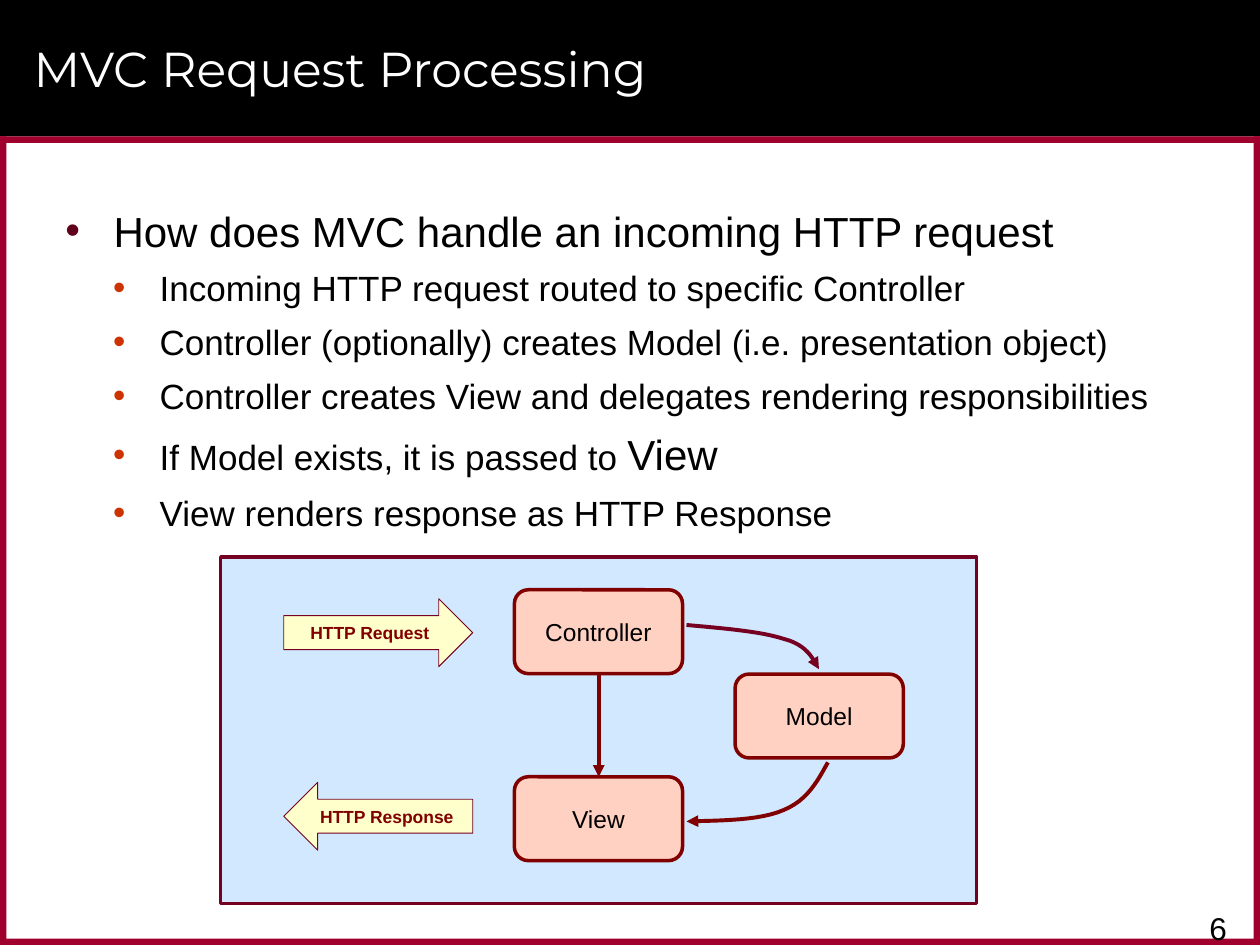
from pptx import Presentation
from pptx import util as u
from pptx.dml import color
from pptx.enum import shapes, text
from pptx.oxml import ns, xmlchemy

CRIMSON, PLUM, MAROON = "9F002D", "760021", "800000"
KIND = shapes.MSO_SHAPE


def rgb(value):
    return color.RGBColor.from_string(value)


def put(obj, values):
    for name, value in values.items():
        setattr(obj, name, value)


def sub(parent, tag, **attrs):
    el = xmlchemy.OxmlElement(tag)
    for name, value in attrs.items():
        el.set(name, value)
    parent.append(el)
    return el


def bezier(p0, p1, p2, p3, steps=12):
    for i in range(1, steps + 1):
        t = i / steps
        k = ((1 - t) ** 3, 3 * t * (1 - t) ** 2, 3 * t * t * (1 - t), t ** 3)
        yield tuple(sum(w * p[axis] for w, p in zip(k, (p0, p1, p2, p3))) for axis in (0, 1))


class Deck:
    """Holds the slide style and draws each kind of element on the current slide."""

    base = dict(name="Arial", size=u.Pt(14), bold=False)
    levels = (
        dict(size=24, margin=0.97, hang=0.97, before=0, after=2, bullet="60001B"),
        dict(size=20, margin=1.9, hang=0.94, before=4, after=3, bullet="CC3300"),
    )

    def __init__(self, prs):
        self.s = prs.slides.add_slide(prs.slide_layouts[6])

    def run(self, p, words, ink="000000", **font):
        r = p.add_run()
        r.text = words
        put(r.font, {**self.base, **font})
        r.font.color.rgb = rgb(ink)

    def stroke(self, line, ink, width):
        line.color.rgb = rgb(ink)
        line.width = u.Pt(width)

    def shape(self, kind, box, fill, ink=None, width=1):
        sp = self.s.shapes.add_shape(kind, *map(u.Cm, box))
        sp.shadow.inherit = False
        sp.fill.solid()
        sp.fill.fore_color.rgb = rgb(fill)
        if ink:
            self.stroke(sp.line, ink, width)
        else:
            sp.line.fill.background()
        return sp

    def label(self, sp, words, **font):
        tf = sp.text_frame
        put(tf, dict(word_wrap=False, vertical_anchor=text.MSO_ANCHOR.MIDDLE))
        p = tf.paragraphs[0]
        p.alignment = text.PP_ALIGN.CENTER
        self.run(p, words, **font)

    def node(self, words, x, y):
        sp = self.shape(KIND.ROUNDED_RECTANGLE, (x, y, 3.39, 1.69), "FFD1C2", MAROON, 2)
        self.label(sp, words)

    def message(self, words, kind, y):
        sp = self.shape(kind, (5.72, y, 3.81, 1.37), "FFFFCC", PLUM, 0.5)
        self.label(sp, words, ink=MAROON, size=u.Pt(10), bold=True)

    def textbox(self, box, anchor=text.MSO_ANCHOR.TOP):
        tf = self.s.shapes.add_textbox(*map(u.Cm, box)).text_frame
        put(tf, dict(word_wrap=True, vertical_anchor=anchor))
        return tf

    def bullets(self, box, items):
        tf = self.textbox(box)
        for i, (level, runs) in enumerate(items):
            p = tf.add_paragraph() if i else tf.paragraphs[0]
            st = self.levels[level]
            put(p, dict(level=level, space_before=u.Pt(st["before"]), space_after=u.Pt(st["after"])))
            pr = p._p.get_or_add_pPr()
            pr.set("marL", str(u.Cm(st["margin"])))
            pr.set("indent", str(-u.Cm(st["hang"])))
            sub(sub(pr, "a:buClr"), "a:srgbClr", val=st["bullet"])
            sub(pr, "a:buFont", typeface="Arial")
            sub(pr, "a:buChar", char="•")
            for words, size in runs:
                self.run(p, words, size=u.Pt(size or st["size"]))

    def arrowhead(self, sp, ink):
        self.stroke(sp.line, ink, 2.25)
        sub(sp.line._get_or_add_ln(), "a:tailEnd", type="triangle")

    def arrow(self, x1, y1, x2, y2, ink):
        sp = self.s.shapes.add_connector(shapes.MSO_CONNECTOR.STRAIGHT, *map(u.Cm, (x1, y1, x2, y2)))
        self.arrowhead(sp, ink)
        sub(sp._element.find(ns.qn("p:spPr")), "a:effectLst")

    def curve(self, points, ink):
        pts = [(u.Cm(x), u.Cm(y)) for x, y in points]
        fb = self.s.shapes.build_freeform(*pts[0])
        for i in range(0, len(pts) - 1, 3):
            fb.add_line_segments(list(bezier(*pts[i:i + 4])), close=False)
        sp = fb.convert_to_shape()
        sp.shadow.inherit = False
        sp.fill.background()
        self.arrowhead(sp, ink)


def main():
    prs = Presentation()
    put(prs, dict(slide_width=u.Cm(25.4), slide_height=u.Cm(19.05)))
    d = Deck(prs)

    d.shape(KIND.RECTANGLE, (0, 0, 25.4, 2.75), "000000")
    edge, top = 0.13, 2.75
    for box in ((0, top, 25.4, edge), (0, 19.05 - edge, 25.4, edge),
                (25.4 - edge, top, edge, 19.05 - top), (0, top, edge, 19.05 - top)):
        d.shape(KIND.RECTANGLE, box, CRIMSON)
    d.shape(KIND.RECTANGLE, (4.45, 11.23, 15.24, 6.99), "D1E8FF", PLUM, 2)

    title = d.textbox((0.43, 0.2, 23.93, 2.34), text.MSO_ANCHOR.MIDDLE)
    d.run(title.paragraphs[0], "MVC Request Processing", "FFFFFF", name="Montserrat", size=u.Pt(28))
    d.bullets((1.07, 4.01, 23.29, 14.4), [
        (0, [("How does MVC handle an incoming HTTP request", None)]),
        (1, [("Incoming HTTP request routed to specific Controller", None)]),
        (1, [("Controller (optionally) creates Model (i.e. presentation object)", None)]),
        (1, [("Controller creates View and delegates rendering responsibilities", None)]),
        (1, [("If Model exists, it is passed to ", None), ("View", 24)]),
        (1, [("View renders response as HTTP Response", None)]),
    ])
    number = d.textbox((24.13, 18.21, 1.27, 0.64))
    d.run(number.paragraphs[0], "6", size=u.Pt(18))

    d.message("HTTP Request", KIND.RIGHT_ARROW, 12.07)
    d.message("HTTP Response", KIND.LEFT_ARROW, 15.77)
    for words, x, y in (("Controller", 10.37, 11.89), ("Model", 14.82, 13.59), ("View", 10.37, 15.66)):
        d.node(words, x, y)
    d.arrow(12.07, 13.59, 12.07, 15.66, MAROON)
    d.curve([(13.84, 12.6), (14.61, 12.67), (15.34, 12.73), (15.8, 12.88),
             (16.26, 13), (16.38, 13.26), (16.51, 13.49)], PLUM)
    d.curve([(16.69, 15.37), (16.48, 15.75), (16.28, 16.13), (15.8, 16.33),
             (15.32, 16.54), (14.58, 16.54), (13.84, 16.56)], MAROON)
    prs.save("out.pptx")


if __name__ == "__main__":
    main()
